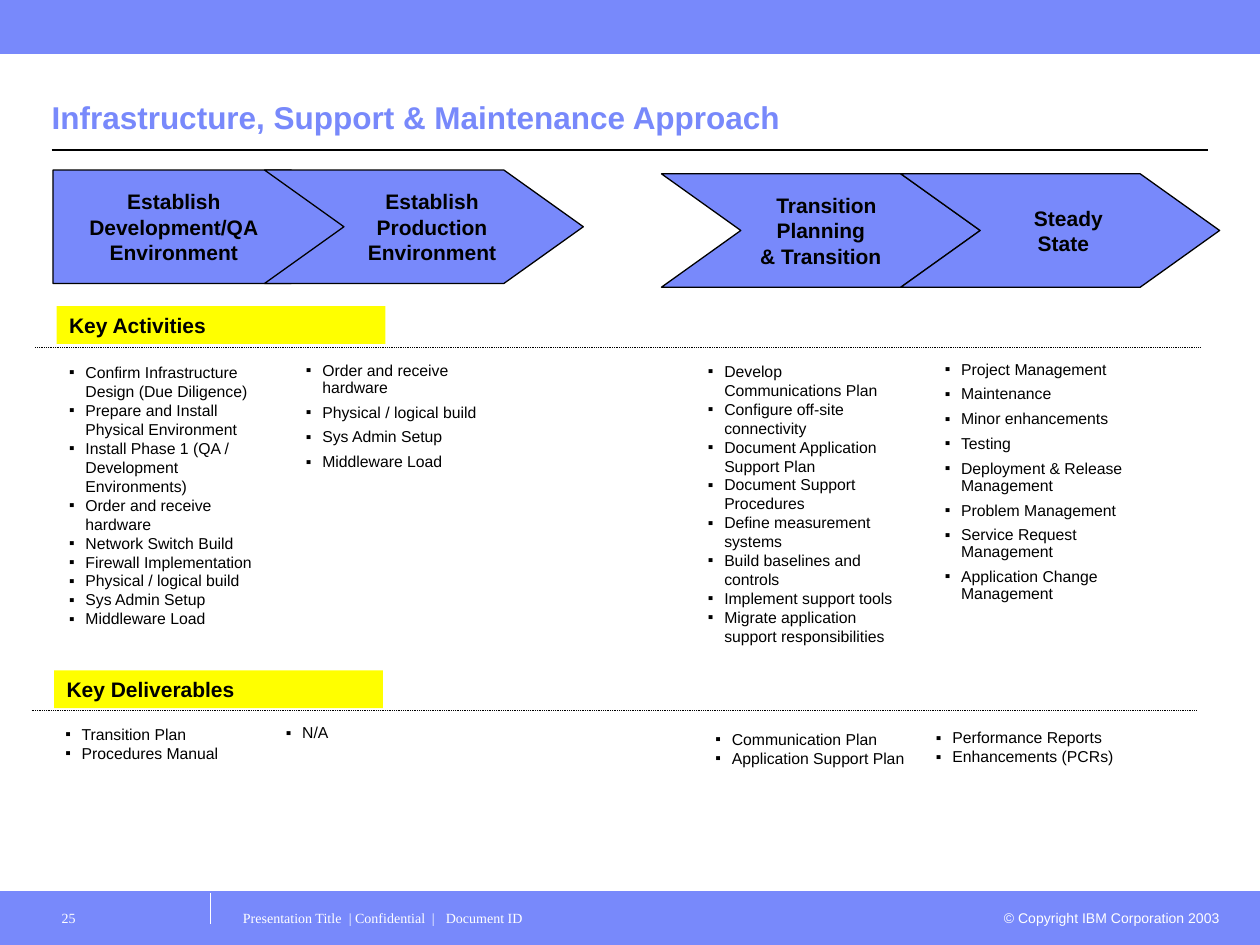
from dataclasses import dataclass
from typing import Optional

import lxml.etree
import pptx
import pptx.dml.color
import pptx.enum.dml
import pptx.enum.shapes
import pptx.enum.text
import pptx.oxml.ns
import pptx.util

Inches = pptx.util.Inches
Pt = pptx.util.Pt
RGBColor = pptx.dml.color.RGBColor
Align = pptx.enum.text.PP_ALIGN
Anchor = pptx.enum.text.MSO_ANCHOR
qn = pptx.oxml.ns.qn

PERIWINKLE = RGBColor(0x78, 0x89, 0xFB)
YELLOW = RGBColor(0xFF, 0xFF, 0x00)
WHITE = RGBColor(0xFF, 0xFF, 0xFF)
BLACK = RGBColor(0x00, 0x00, 0x00)
ARROW_HEIGHT = 0.9
ARROW_TIP = 0.63
BULLET_INDENT = 0.13


@dataclass(frozen=True)
class Box:
    left: float
    top: float
    width: float
    height: float

    def lengths(self) -> list:
        return [Inches(v) for v in (self.left, self.top, self.width, self.height)]


@dataclass(frozen=True)
class Style:
    size: float
    color: RGBColor = BLACK
    bold: bool = False
    font: str = "Arial"
    align: Align = Align.LEFT
    anchor: Anchor = Anchor.TOP
    insets: tuple = (0.1, 0.05, 0.1, 0.05)


@dataclass(frozen=True)
class Phase:
    left: float
    top: float
    body: float
    notched: bool
    lines: tuple
    shifts: tuple


@dataclass(frozen=True)
class BulletList:
    box: Box
    items: tuple
    fill: Optional[RGBColor] = None
    spaced: bool = False


@dataclass(frozen=True)
class Rule:
    start: tuple
    end: tuple
    color: RGBColor
    weight: float
    dotted: bool = False


TITLE = Style(18, PERIWINKLE, True, anchor=Anchor.BOTTOM, insets=(0, 0.05, 0, 0.05))
PHASE = Style(12, bold=True, align=Align.CENTER, anchor=Anchor.MIDDLE)
HEADING = Style(12, bold=True)
BODY = Style(9)
COPYRIGHT = Style(8, WHITE, align=Align.RIGHT)
FOOTER = Style(8, WHITE, font="Times New Roman", insets=(0.1, 0.07, 0.1, 0.05))
PAGE = Style(8, WHITE, font="Times New Roman", insets=(0.16, 0.07, 0.1, 0.05))

BARS = (Box(0, 7.08, 10, 0.42), Box(0, 0, 10, 0.42))
RULES = (
    Rule((1.67, 7.33), (1.67, 7.08), WHITE, 0.75),
    Rule((0, 0.42), (10, 0.42), PERIWINKLE, 0.5),
    Rule((0, 7.08), (10, 7.08), PERIWINKLE, 0.5),
    Rule((0.41, 1.19), (9.59, 1.19), BLACK, 0.75),
    Rule((0.25, 5.64), (9.5, 5.64), BLACK, 0.5, True),
    Rule((0.28, 2.76), (9.53, 2.76), BLACK, 0.5, True),
)
PHASES = (
    Phase(0.42, 1.35, 1.89, False, (), ()),
    Phase(2.1, 1.35, 1.9, True, ("Establish", "Production", "Environment"), (0.13, 0.13, 0.13)),
    Phase(5.25, 1.38, 1.9, True, ("Transition", "Planning", "& Transition"), (0.09, 0, 0)),
    Phase(7.15, 1.38, 1.9, True, ("Steady", "State"), (0.13, 0.05)),
)
HEADINGS = (
    ("Key Activities", Box(0.45, 2.43, 2.61, 0.3)),
    ("Key Deliverables", Box(0.43, 5.32, 2.61, 0.3)),
)
LISTS = (
    BulletList(Box(0.42, 5.7, 1.83, 1.26), ("Transition Plan", "Procedures Manual"), WHITE),
    BulletList(Box(2.17, 5.69, 1.83, 1.32), ("N/A",), WHITE),
    BulletList(Box(0.45, 2.83, 1.74, 2.21), (
        "Confirm Infrastructure Design (Due Diligence)",
        "Prepare and Install Physical Environment",
        "Install Phase 1 (QA / Development Environments)",
        "Order and receive hardware", "Network Switch Build", "Firewall Implementation",
        "Physical / logical build", "Sys Admin Setup", "Middleware Load")),
    BulletList(Box(2.33, 2.83, 1.76, 0.96), (
        "Order and receive hardware", "Physical / logical build",
        "Sys Admin Setup", "Middleware Load"), spaced=True),
    BulletList(Box(5.52, 2.82, 1.74, 2.36), (
        "Develop Communications Plan", "Configure off-site connectivity",
        "Document Application Support Plan", "Document Support Procedures",
        "Define measurement systems", "Build baselines and controls",
        "Implement support tools", "Migrate application support responsibilities")),
    BulletList(Box(7.4, 2.82, 1.76, 2.21), (
        "Project Management", "Maintenance", "Minor enhancements", "Testing",
        "Deployment & Release Management", "Problem Management",
        "Service Request Management", "Application Change Management"), spaced=True),
    BulletList(Box(5.58, 5.74, 1.83, 1.26), ("Communication Plan", "Application Support Plan"), WHITE),
    BulletList(Box(7.33, 5.73, 1.83, 1.32), ("Performance Reports", "Enhancements (PCRs)"), WHITE),
)


def write(shape, lines: tuple, style: Style) -> list:
    frame = shape.text_frame
    frame.text = "\n".join(lines)
    frame.word_wrap = True
    frame.vertical_anchor = style.anchor
    frame.margin_left, frame.margin_top, frame.margin_right, frame.margin_bottom = map(Inches, style.insets)
    for paragraph in frame.paragraphs:
        paragraph.alignment = style.align
        for run in paragraph.runs:
            run.font.size = Pt(style.size)
            run.font.name = style.font
            run.font.bold = style.bold
            run.font.color.rgb = style.color
    return list(frame.paragraphs)


def add_text(slide, box: Box, lines: tuple, style: Style) -> list:
    return write(slide.shapes.add_textbox(*box.lengths()), lines, style)


def paint(shape, fill: RGBColor, line: Optional[RGBColor] = None) -> None:
    shape.shadow.inherit = False
    shape.fill.solid()
    shape.fill.fore_color.rgb = fill
    if line is None:
        shape.line.fill.background()
    else:
        shape.line.color.rgb = line
        shape.line.width = Pt(0.75)


def add_panel(slide, box: Box, fill: RGBColor, line: Optional[RGBColor] = None):
    panel = slide.shapes.add_shape(pptx.enum.shapes.MSO_SHAPE.RECTANGLE, *box.lengths())
    paint(panel, fill, line)
    return panel


def add_rule(slide, rule: Rule) -> None:
    ends = [Inches(v) for v in rule.start + rule.end]
    line = slide.shapes.add_connector(pptx.enum.shapes.MSO_CONNECTOR.STRAIGHT, *ends)
    line.line.color.rgb = rule.color
    line.line.width = Pt(rule.weight)
    if rule.dotted:
        line.line.dash_style = pptx.enum.dml.MSO_LINE.ROUND_DOT
    lxml.etree.SubElement(line._element.spPr, qn("a:effectLst"))


def add_phase(slide, phase: Phase) -> None:
    shoulder, middle = phase.left + phase.body, phase.top + ARROW_HEIGHT / 2
    bottom = phase.top + ARROW_HEIGHT
    points = [(shoulder, phase.top), (shoulder + ARROW_TIP, middle), (shoulder, bottom), (phase.left, bottom)]
    if phase.notched:
        points.append((phase.left + ARROW_TIP, middle))
    outline = slide.shapes.build_freeform(Inches(phase.left), Inches(phase.top))
    outline.add_line_segments([(Inches(x), Inches(y)) for x, y in points], close=True)
    arrow = outline.convert_to_shape()
    paint(arrow, PERIWINKLE, BLACK)
    if phase.lines:
        for paragraph, shift in zip(write(arrow, phase.lines, PHASE), phase.shifts):
            paragraph._p.get_or_add_pPr().set("marL", str(Inches(shift)))


def add_bullets(slide, bullets: BulletList) -> None:
    if bullets.fill is None:
        holder = slide.shapes.add_textbox(*bullets.box.lengths())
    else:
        holder = add_panel(slide, bullets.box, bullets.fill)
    for index, paragraph in enumerate(write(holder, bullets.items, BODY)):
        properties = paragraph._p.get_or_add_pPr()
        properties.set("marL", str(Inches(BULLET_INDENT)))
        properties.set("indent", str(-Inches(BULLET_INDENT)))
        color = lxml.etree.SubElement(properties, qn("a:buClr"))
        lxml.etree.SubElement(color, qn("a:srgbClr"), val=str(BLACK))
        lxml.etree.SubElement(properties, qn("a:buFont"), typeface="Arial")
        lxml.etree.SubElement(properties, qn("a:buChar"), char="▪")
        if bullets.spaced:
            paragraph.line_spacing = 0.9
            paragraph.space_before = Pt(2.8 if index else 0)
            paragraph.space_after = Pt(1.6)


def add_footer(slide) -> None:
    add_text(slide, Box(7.83, 7.17, 1.95, 0.24), ("© Copyright IBM Corporation 2003",), COPYRIGHT)
    add_text(slide, Box(0.33, 7.15, 1.33, 0.35), ("25",), PAGE)
    label = add_text(slide, Box(1.83, 7.15, 6, 0.35),
                     ("Presentation Title\t| Confidential\t|\tDocument ID",), FOOTER)[0]
    stops = lxml.etree.SubElement(label._p.get_or_add_pPr(), qn("a:tabLst"))
    for position in (0.84, 1.5, 1.61):
        lxml.etree.SubElement(stops, qn("a:tab"), pos=str(Inches(position)), algn="l")


def main() -> None:
    deck = pptx.Presentation()
    deck.slide_width, deck.slide_height = Inches(10), Inches(7.5)
    slide = deck.slides.add_slide(deck.slide_layouts[6])
    for bar in BARS:
        add_panel(slide, bar, PERIWINKLE, PERIWINKLE)
    for rule in RULES:
        add_rule(slide, rule)
    add_text(slide, Box(0.41, 0.52, 9.18, 0.61), ("Infrastructure, Support & Maintenance Approach",), TITLE)
    for phase in PHASES:
        add_phase(slide, phase)
    add_text(slide, Box(0.44, 1.45, 1.88, 0.7), ("Establish", "Development/QA", "Environment"), PHASE)
    for bullets in LISTS:
        add_bullets(slide, bullets)
    for heading, box in HEADINGS:
        write(add_panel(slide, box, YELLOW), (heading,), HEADING)
    add_footer(slide)
    deck.save("out.pptx")


if __name__ == "__main__":
    main()
